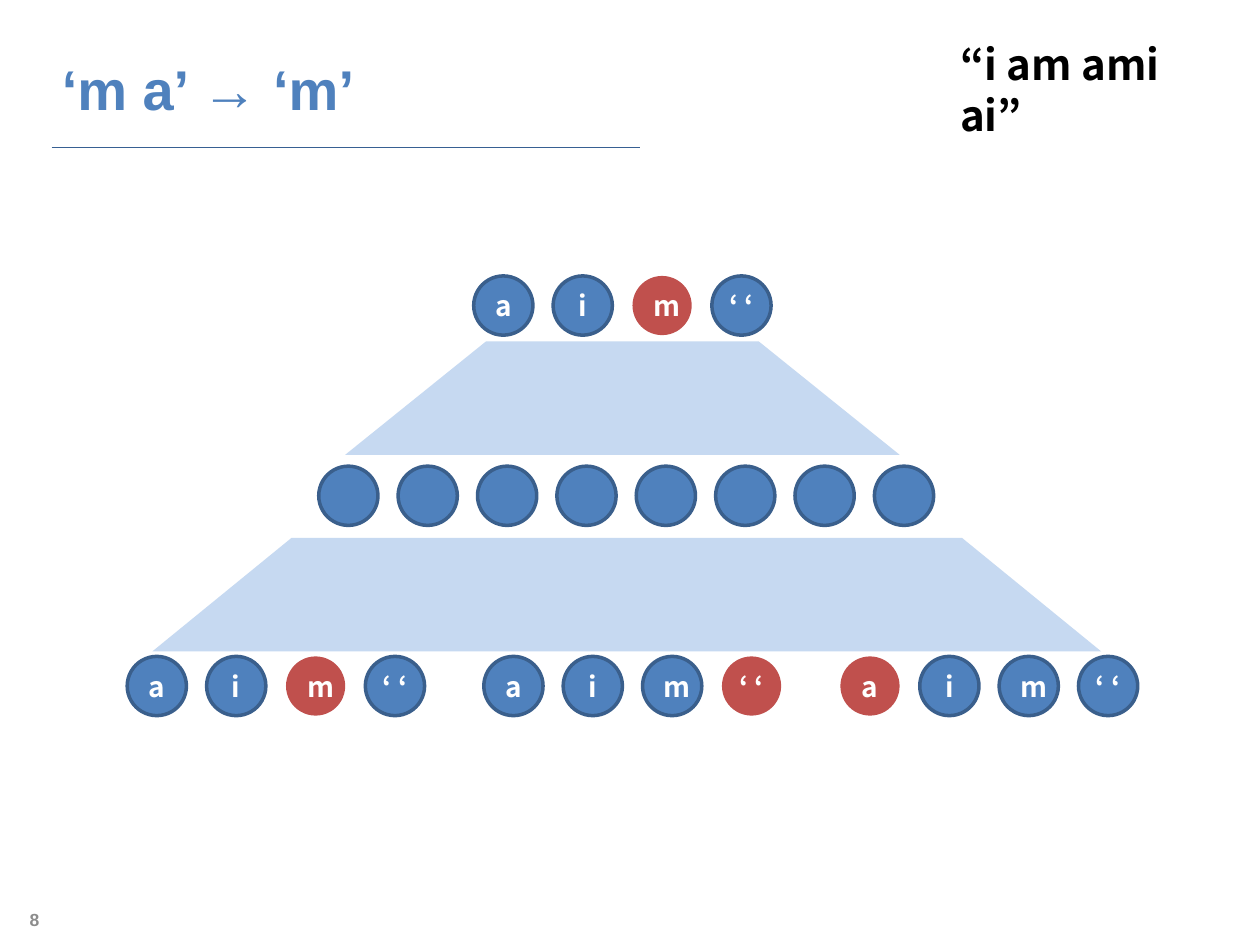
from dataclasses import dataclass

from lxml import etree
from pptx import Presentation
from pptx.dml.color import RGBColor
from pptx.enum.shapes import MSO_CONNECTOR, MSO_SHAPE
from pptx.enum.text import MSO_ANCHOR, PP_ALIGN
from pptx.oxml.ns import qn
from pptx.util import Inches, Pt

OVAL = MSO_SHAPE.OVAL
TRAPEZOID = MSO_SHAPE.TRAPEZOID
STRAIGHT = MSO_CONNECTOR.STRAIGHT
TOP, MIDDLE = MSO_ANCHOR.TOP, MSO_ANCHOR.MIDDLE
LEFT, CENTER, RIGHT = PP_ALIGN.LEFT, PP_ALIGN.CENTER, PP_ALIGN.RIGHT

BLUE = RGBColor(0x4F, 0x81, 0xBD)
EDGE = RGBColor(0x3A, 0x5F, 0x8C)
RED = RGBColor(0xC0, 0x50, 0x4D)
PALE = RGBColor(0xC6, 0xD9, 0xF1)
RULE = RGBColor(0x37, 0x60, 0x92)
GRAY = RGBColor(0x8C, 0x8C, 0x8C)
BLACK = RGBColor(0, 0, 0)
WHITE = RGBColor(0xFF, 0xFF, 0xFF)

SANS = "Arial"
NOTO = "Noto Sans CJK KR"
SPACE = "‘ ‘"
LETTERS = ("a", "i", "m", SPACE)
NODE = 0.47
PITCH = 0.63
GROUP = 2.83


@dataclass(frozen=True)
class Row:
    left: float
    top: float
    labels: tuple[str, ...]
    hot: int | None = None  # index of the active node


@dataclass(frozen=True)
class Link:
    left: float
    top: float
    width: float
    slant: float


INPUTS = [Row(1.01 + i * GROUP, 5.21, LETTERS, hot)
          for i, hot in enumerate((2, 3, 0))]
ROWS = [Row(3.76, 2.19, LETTERS, 2), Row(2.53, 3.7, ("",) * 8), *INPUTS]
LINKS = [Link(1.21, 4.27, 7.53, 1.226), Link(2.74, 2.71, 4.4, 1.242)]


def put_text(shape, text: str, *, size: float, color: RGBColor,
             font: str = NOTO, align=LEFT, anchor=MIDDLE) -> None:
    frame = shape.text_frame
    frame.word_wrap = True
    frame.vertical_anchor = anchor
    para = frame.paragraphs[0]
    para.alignment = align
    run = para.add_run()
    run.text = text
    run.font.name = font
    run.font.size = Pt(size)
    run.font.bold = True
    run.font.color.rgb = color


def add_box(slide, left: float, top: float, width: float, height: float):
    return slide.shapes.add_textbox(
        Inches(left), Inches(top), Inches(width), Inches(height))


def add_title(slide, text: str) -> None:
    title = slide.shapes.title
    title.left, title.top = Inches(0.39), Inches(0.31)
    title.width, title.height = Inches(9.22), Inches(0.78)
    put_text(title, text, size=32, color=BLUE, font=SANS)


def add_rule(slide) -> None:
    rule = slide.shapes.add_connector(
        STRAIGHT, Inches(0.41), Inches(1.17), Inches(5.08), Inches(1.17))
    rule.line.color.rgb = RULE
    rule.line.width = Pt(0.75)
    etree.SubElement(rule._element.spPr, qn("a:effectLst"))


def add_node(slide, left: float, top: float, label: str, hot: bool) -> None:
    node = slide.shapes.add_shape(
        OVAL, Inches(left), Inches(top), Inches(NODE), Inches(NODE))
    node.shadow.inherit = False
    node.fill.solid()
    node.fill.fore_color.rgb = RED if hot else BLUE
    if hot:
        node.line.fill.background()
    else:
        node.line.color.rgb = EDGE
        node.line.width = Pt(2)
    if label == SPACE:
        node.text_frame.margin_left = node.text_frame.margin_right = 0
    if label:
        put_text(node, label, size=16, color=WHITE, align=CENTER)


def add_row(slide, row: Row) -> None:
    for i, label in enumerate(row.labels):
        add_node(slide, row.left + i * PITCH, row.top, label, i == row.hot)


def add_link(slide, link: Link) -> None:
    shape = slide.shapes.add_shape(
        TRAPEZOID, Inches(link.left), Inches(link.top),
        Inches(link.width), Inches(0.9))
    shape.adjustments[0] = link.slant
    shape.shadow.inherit = False
    shape.fill.solid()
    shape.fill.fore_color.rgb = PALE
    shape.line.fill.background()


def main() -> None:
    deck = Presentation()
    deck.slide_width, deck.slide_height = Inches(10), Inches(7.5)
    slide = deck.slides.add_slide(deck.slide_layouts[5])

    add_rule(slide)
    add_title(slide, "‘m a’ → ‘m’")
    put_text(add_box(slide, 0, 7.1, 0.41, 0.4), "8",
             size=10, color=GRAY, font=SANS, align=RIGHT)
    quote = add_box(slide, 7.02, 0.26, 2.74, 0.5)
    quote.text_frame.margin_left = Inches(0.6)
    put_text(quote, "“i am ami ai”", size=24, color=BLACK, anchor=TOP)

    for link in LINKS:
        add_link(slide, link)
    for row in ROWS:
        add_row(slide, row)
    deck.save("out.pptx")


if __name__ == "__main__":
    main()
